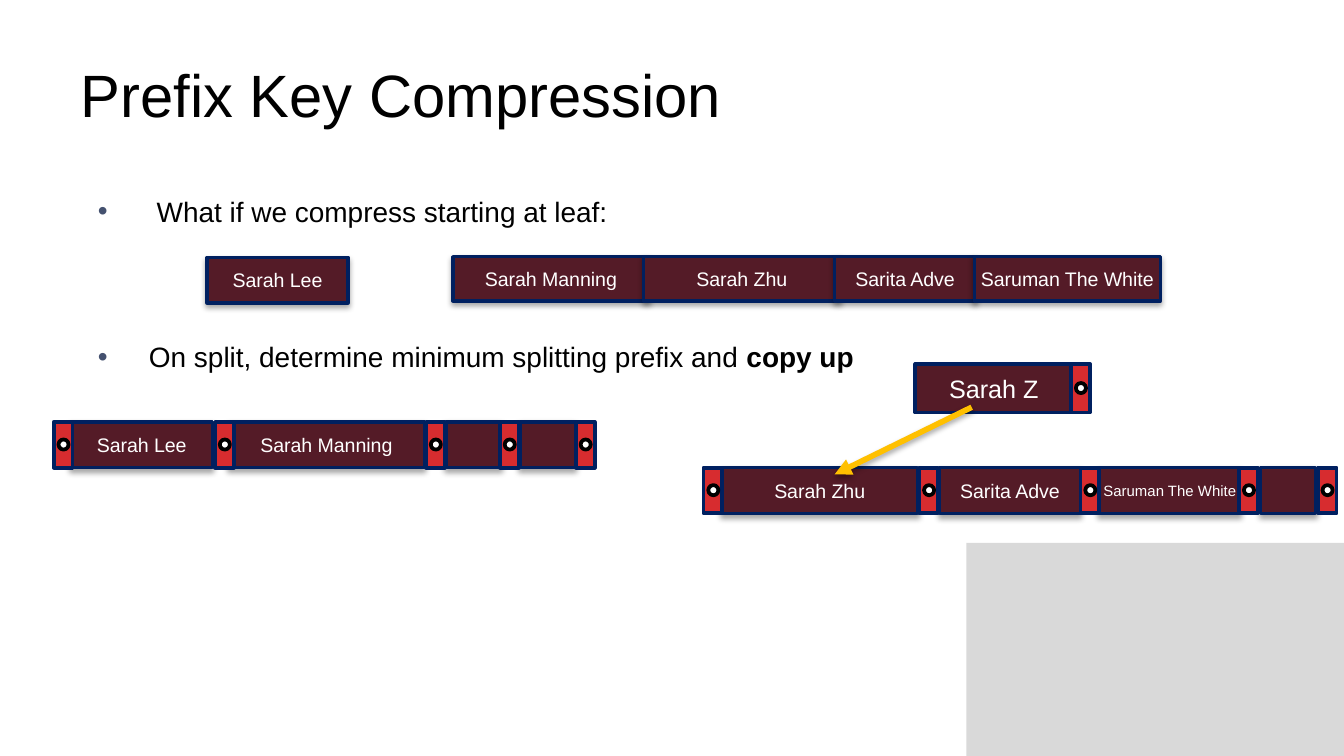
"""Build the prefix key compression slide."""
from lxml import etree
from pptx import Presentation
from pptx.dml.color import RGBColor
from pptx.enum.shapes import MSO_CONNECTOR, MSO_SHAPE
from pptx.enum.text import MSO_ANCHOR, PP_ALIGN
from pptx.oxml.ns import qn
from pptx.util import Pt

RECT, OVAL = MSO_SHAPE.RECTANGLE, MSO_SHAPE.OVAL
LINE = MSO_CONNECTOR.STRAIGHT
MIDDLE = MSO_ANCHOR.MIDDLE
LEFT, CENTER = PP_ALIGN.LEFT, PP_ALIGN.CENTER
SCALE = 4572
HUES = {
    "key": "541B27", "slot": "D72C2F", "edge": "002060", "arrow": "FFC000",
    "ink": "000000", "paper": "FFFFFF", "panel": "D9D9D9", "bullet": "44516F",
}


def px(*sizes):
    """Turn px lengths into EMU."""
    return [size * SCALE for size in sizes]


def color(name):
    """Look up a colour by name."""
    return RGBColor.from_string(HUES[name])


def write(para, text, size=10.5, hue="ink", bold=False, align=LEFT):
    """Add a formatted run to a paragraph."""
    para.alignment = align
    run = para.add_run()
    run.text = text
    font = run.font
    font.name, font.size, font.bold = "Arial", Pt(size), bold
    font.color.rgb = color(hue)


def add(parent, tag, **attrs):
    """Append a drawing element."""
    return etree.SubElement(parent, qn(tag), attrs)


def shade(effects):
    """Put a soft drop shadow in an effect list."""
    drop = add(effects, "a:outerShdw", blurRad="39370", dist="22860",
               dir="5400000", rotWithShape="0")
    tint = add(drop, "a:srgbClr", val=HUES["ink"])
    add(tint, "a:alpha", val="35000")


class Deck:
    """Hold the style and the current slide."""

    def __init__(self):
        """Open a deck with one titled slide."""
        self.show = Presentation()
        self.show.slide_width, self.show.slide_height = px(2000, 1125)
        self.slide = self.show.slides.add_slide(self.show.slide_layouts[5])
        self.shapes = self.slide.shapes

    def title(self, text, *box):
        """Place and fill the title."""
        head = self.shapes.title
        head.left, head.top, head.width, head.height = px(*box)
        head.text_frame.vertical_anchor = MIDDLE
        write(head.text_frame.paragraphs[0], text, size=32)

    def shape(self, kind, box, fill, edge=None, width=2):
        """Draw a filled shape."""
        item = self.shapes.add_shape(kind, *px(*box))
        item.shadow.inherit = False
        item.fill.solid()
        item.fill.fore_color.rgb = color(fill)
        if edge:
            item.line.color.rgb = color(edge)
            item.line.width = Pt(width)
        else:
            item.line.fill.background()
        return item

    def points(self, items, gap, *box):
        """Write a bulleted list of run lists."""
        frame = self.shapes.add_textbox(*px(*box)).text_frame
        frame.word_wrap = True
        for index, runs in enumerate(items):
            para = frame.add_paragraph() if index else frame.paragraphs[0]
            props = para._p.get_or_add_pPr()
            props.set("marL", str(76 * SCALE))
            props.set("indent", str(-76 * SCALE))
            add(add(props, "a:buClr"), "a:srgbClr", val=HUES["bullet"])
            add(props, "a:buFont", typeface="Arial")
            add(props, "a:buChar", char="•")
            para.space_before = Pt(gap if index else 0)
            for text, bold in runs:
                write(para, text, size=15, bold=bold)

    def key(self, box, text="", size=10.5, width=1.75, soft=True):
        """Draw a key cell."""
        cell = self.shape(RECT, box, "key", "edge", width)
        if soft:
            shade(cell._element.spPr.find(qn("a:effectLst")))
        frame = cell.text_frame
        frame.word_wrap = False
        frame.vertical_anchor = MIDDLE
        frame.margin_left = frame.margin_right = 0
        frame.margin_top, frame.margin_bottom = px(8, 8)
        if text:
            write(frame.paragraphs[0], text, size=size, hue="paper", align=CENTER)

    def slot(self, left, top, high):
        """Draw a pointer cell with its dot."""
        self.shape(RECT, (left, top, 28, high), "slot", "edge")
        self.shape(OVAL, (left + 7, top + high // 2 - 8, 15, 15), "paper", "ink")

    def node(self, top, keys, slots=(), high=68):
        """Draw a row of keys and pointers."""
        for left, wide, text, size in keys:
            self.key((left, top, wide, high), text, size)
        for left in slots:
            self.slot(left, top, high)

    def arrow(self, *ends):
        """Draw a shadowed arrow."""
        link = self.shapes.add_connector(LINE, *px(*ends))
        link.line.color.rgb = color("arrow")
        link.line.width = Pt(3)
        add(link.line._get_or_add_ln(), "a:tailEnd", type="triangle")
        shade(add(link._element.spPr, "a:effectLst"))


def main():
    """Lay out the slide and save it."""
    deck = Deck()
    deck.shape(RECT, (1438, 808, 562, 317), "panel")
    deck.title("Prefix Key Compression", 100, 46, 1800, 188)
    deck.points([
        [(" What if we compress starting at leaf:", False)],
        [("On split, determine minimum splitting prefix and ", False),
         ("copy up", True)],
    ], 60, 126, 279, 1800, 742)

    deck.key((1362, 542, 234, 72), "Sarah Z", size=13.5, width=2, soft=False)
    deck.slot(1594, 542, 72)
    deck.node(628, [
        (106, 210, "Sarah Lee", 10.5), (774, 82, "", 10.5),
        (664, 82, "", 10.5), (340, 292, "Sarah Manning", 10.5),
    ], (320, 80, 634, 744, 857))
    deck.node(696, [
        (1074, 292, "Sarah Zhu", 10.5), (1398, 210, "Sarita Adve", 10.5),
        (1636, 210, "Saruman The White", 8), (1876, 82, "", 10.5),
    ], (1047, 1368, 1844, 1961, 1608))
    deck.node(382, [
        (674, 292, "Sarah Manning", 10.5), (958, 292, "Sarah Zhu", 10.5),
        (1242, 210, "Sarita Adve", 10.5), (1450, 277, "Saruman The White", 10.5),
    ], high=66)
    deck.node(383, [(308, 210, "Sarah Lee", 10.5)])
    deck.arrow(1446, 606, 1242, 706)
    deck.show.save("out.pptx")


if __name__ == "__main__":
    main()
